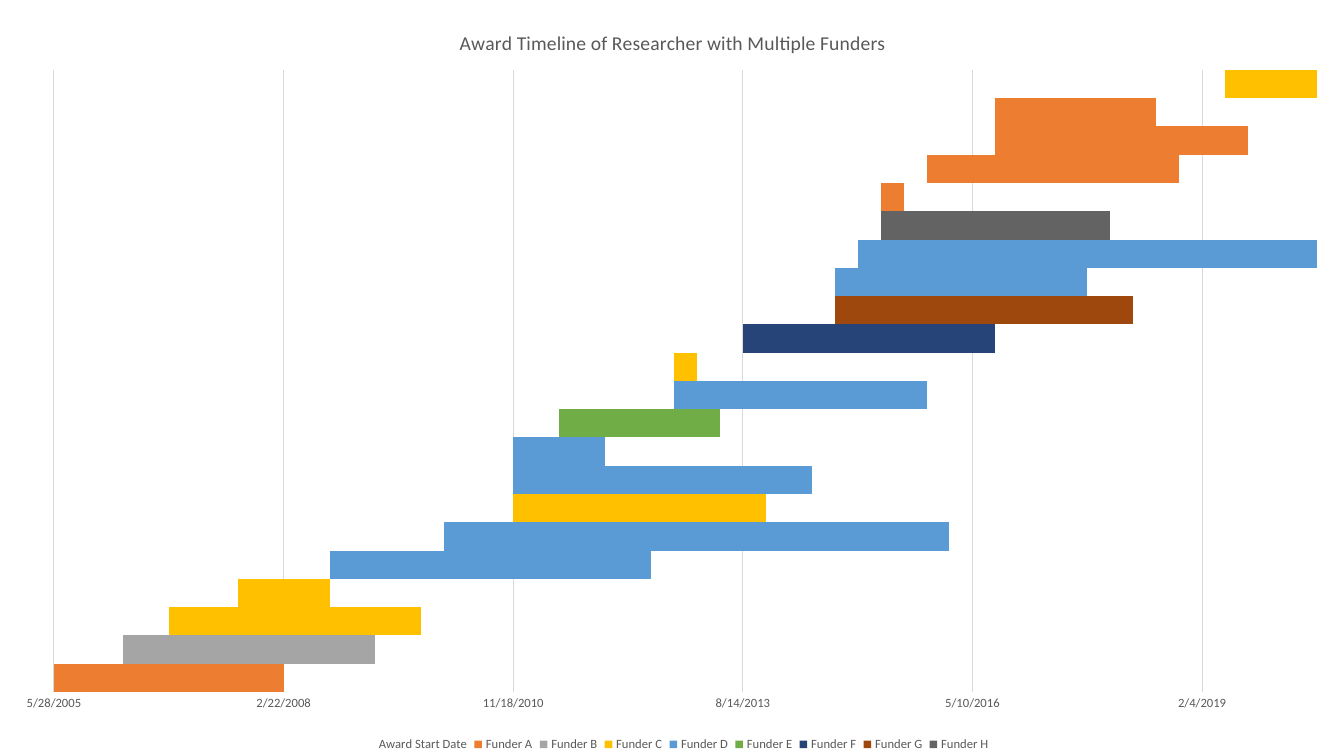
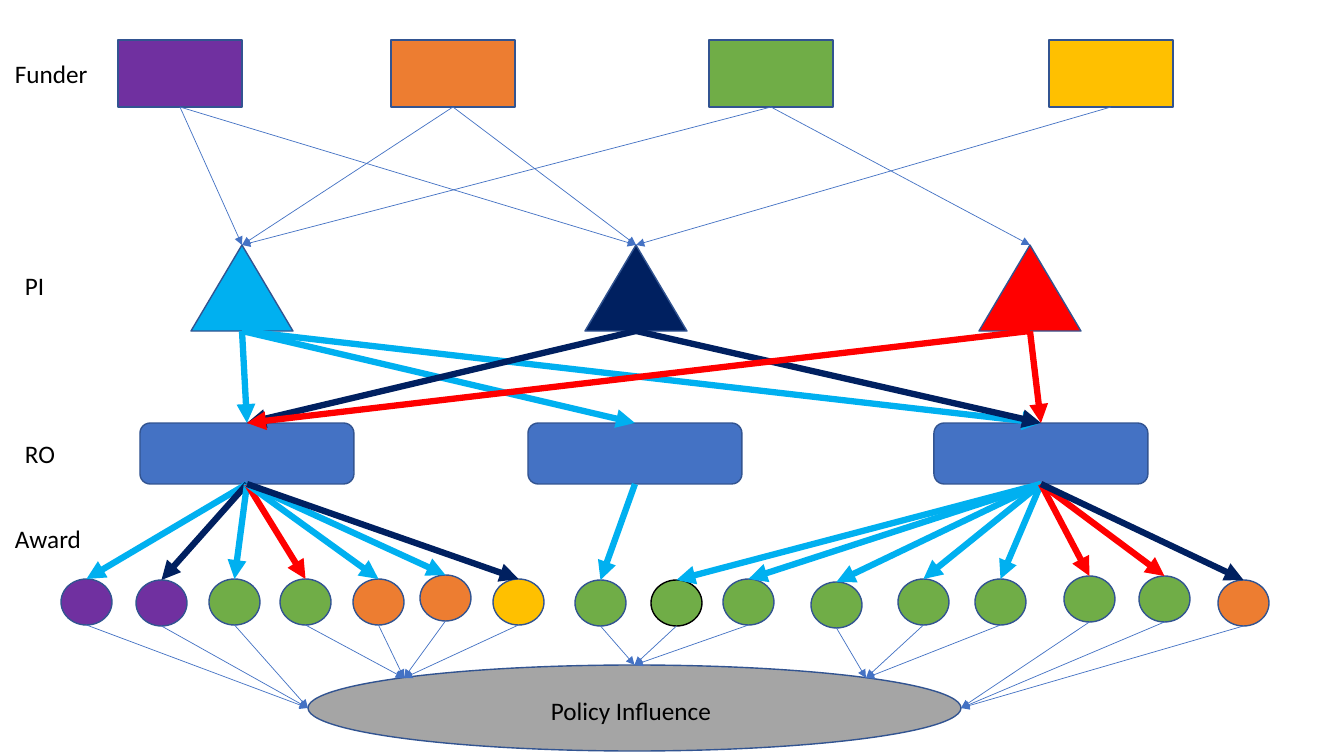
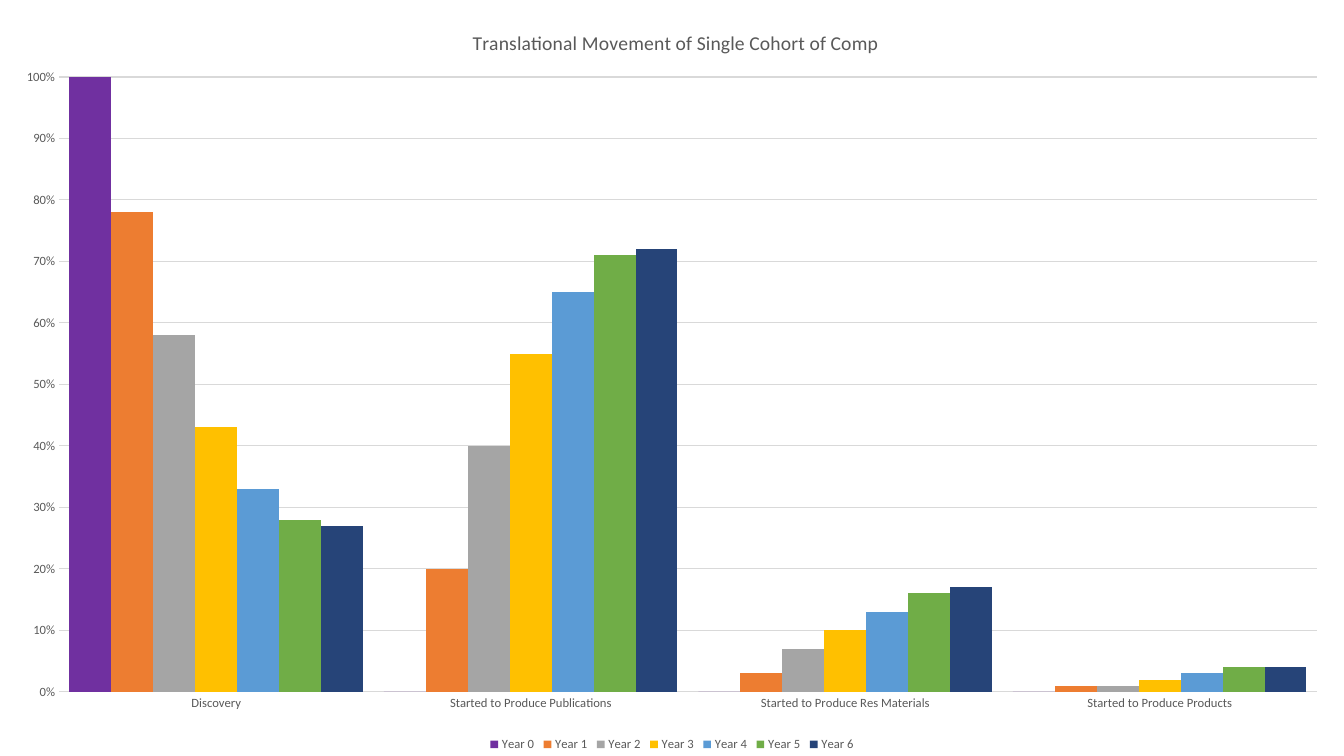
from dataclasses import dataclass

import pptx
import pptx.chart.data
import pptx.dml.color
import pptx.enum.chart
import pptx.enum.shapes
import pptx.oxml
import pptx.oxml.ns
import pptx.util
from lxml import etree

EMU_PER_PX = 914400 / 100.8
SLIDE_WIDTH, SLIDE_HEIGHT = 1344, 756
SHAPES = pptx.enum.shapes.MSO_SHAPE
CHARTS = pptx.enum.chart.XL_CHART_TYPE


@dataclass(frozen=True)
class Theme:
    font: str = "Calibri"
    black: str = "000000"
    muted: str = "595959"
    grid: str = "D9D9D9"
    outline: str = "325491"
    blue: str = "4472C4"
    orange: str = "ED7D31"
    gray: str = "A5A5A5"
    gold: str = "FFC000"
    light_blue: str = "5B9BD5"
    green: str = "70AD47"
    dark_blue: str = "264478"
    brown: str = "9E480E"
    dark_gray: str = "636363"
    purple: str = "7030A0"
    cyan: str = "00B0F0"
    navy: str = "002060"
    red: str = "FF0000"
    title_size: int = 14
    label_size: int = 18
    chart_size: int = 9
    thin: float = 0.5
    hairline: float = 0.75
    border: float = 1
    thick: float = 4.5


THEME = Theme()


def px(length):
    return pptx.util.Emu(round(length * EMU_PER_PX))


def rgb(color):
    return pptx.dml.color.RGBColor.from_string(color)


class Deck:
    def __init__(self, theme):
        self.theme = theme
        self.presentation = pptx.Presentation()
        self.presentation.slide_width = px(SLIDE_WIDTH)
        self.presentation.slide_height = px(SLIDE_HEIGHT)
        self.slide = None

    def new_slide(self):
        self.slide = self.presentation.slides.add_slide(self.presentation.slide_layouts[6])

    def style_font(self, font, size, color):
        font.name = self.theme.font
        font.size = pptx.util.Pt(size)
        font.bold = False
        font.color.rgb = rgb(color)

    def style_line(self, line, color, width):
        line.color.rgb = rgb(color)
        line.width = pptx.util.Pt(width)

    def shape(self, kind, box, fill, outline=None):
        shape = self.slide.shapes.add_shape(kind, *map(px, box))
        shape.shadow.inherit = False
        shape.fill.solid()
        shape.fill.fore_color.rgb = rgb(fill)
        self.style_line(shape.line, outline or self.theme.outline, self.theme.border)
        return shape

    def label(self, text, box):
        text_frame = self.slide.shapes.add_textbox(*map(px, box)).text_frame
        text_frame.word_wrap = True
        text_frame.text = text
        for run in text_frame.paragraphs[0].runs:
            self.style_font(run.font, self.theme.label_size, self.theme.black)

    def arrow(self, start, end=None, color=None, width=None, point=None):
        begin = (start.left + start.width // 2, start.top + start.height)
        finish = tuple(map(px, point)) if point else (end.left + end.width // 2, end.top)
        connector = self.slide.shapes.add_connector(
            pptx.enum.shapes.MSO_CONNECTOR.STRAIGHT, *begin, *finish)
        if start.auto_shape_type in (SHAPES.RECTANGLE, SHAPES.ROUNDED_RECTANGLE):
            connector.begin_connect(start, 2)
        if end is not None:
            connector.end_connect(end, 0)
        self.style_line(connector.line, color or self.theme.blue, width or self.theme.thin)
        properties = connector.element.spPr
        line = properties.find(pptx.oxml.ns.qn("a:ln"))
        etree.SubElement(line, pptx.oxml.ns.qn("a:tailEnd"), type="triangle")
        etree.SubElement(properties, pptx.oxml.ns.qn("a:effectLst"))

    def place(self, chart, part, box):
        parent = chart.element.xpath(f"c:chart/c:{part}")[0]
        for previous in parent.xpath("c:layout"):
            parent.remove(previous)
        layout = pptx.oxml.parse_xml(f"<c:layout {pptx.oxml.ns.nsdecls('c')}/>")
        manual = etree.SubElement(layout, pptx.oxml.ns.qn("c:manualLayout"))
        settings = [("xMode", "edge"), ("yMode", "edge")]
        if part == "plotArea":
            settings.insert(0, ("layoutTarget", "inner"))
        extents = (SLIDE_WIDTH, SLIDE_HEIGHT) * 2
        settings += [(name, f"{length / extent:.4f}")
                     for name, length, extent in zip("xywh", box, extents)]
        for name, value in settings:
            etree.SubElement(manual, pptx.oxml.ns.qn(f"c:{name}"), val=value)
        parent.insert(0 if part == "plotArea" else 1, layout)

    def chart(self, kind, title, categories, series, colors, gap, overlap,
              scale, number_format, boxes):
        data = pptx.chart.data.CategoryChartData()
        data.categories = categories
        for name, values in series:
            data.add_series(name, values)
        chart = self.slide.shapes.add_chart(
            kind, 0, 0, px(SLIDE_WIDTH), px(SLIDE_HEIGHT), data).chart
        self.style_font(chart.font, self.theme.chart_size, self.theme.muted)

        chart.has_title = True
        title_frame = chart.chart_title.text_frame
        title_frame.text = title
        for run in title_frame.paragraphs[0].runs:
            self.style_font(run.font, self.theme.title_size, self.theme.muted)

        chart.has_legend = True
        chart.legend.position = pptx.enum.chart.XL_LEGEND_POSITION.BOTTOM
        chart.legend.include_in_layout = False
        self.style_font(chart.legend.font, self.theme.chart_size, self.theme.muted)

        plot = chart.plots[0]
        plot.gap_width = gap
        plot.overlap = overlap
        plot.vary_by_categories = False
        for bars, color in zip(plot.series, colors):
            bars.invert_if_negative = False
            if color:
                bars.format.fill.solid()
                bars.format.fill.fore_color.rgb = rgb(color)
            else:
                bars.format.fill.background()

        for axis in (chart.category_axis, chart.value_axis):
            axis.major_tick_mark = pptx.enum.chart.XL_TICK_MARK.NONE
            axis.minor_tick_mark = pptx.enum.chart.XL_TICK_MARK.NONE
            self.style_font(axis.tick_labels.font, self.theme.chart_size, self.theme.muted)
        self.style_line(chart.category_axis.format.line, self.theme.grid, self.theme.hairline)

        values_axis = chart.value_axis
        values_axis.minimum_scale, values_axis.maximum_scale, values_axis.major_unit = scale
        values_axis.format.line.fill.background()
        values_axis.has_major_gridlines = True
        self.style_line(values_axis.major_gridlines.format.line,
                        self.theme.grid, self.theme.hairline)
        values_axis.tick_labels.number_format = number_format
        values_axis.tick_labels.number_format_is_linked = False

        for part, box in boxes.items():
            self.place(chart, part, box)
        return chart


def build_timeline(deck):
    theme = deck.theme
    awards = [
        (38400, "A", 1100), (38800, "B", 1100), (39000, "C", 1100), (39300, "C", 400),
        (39700, "D", 1400), (40200, "D", 2200), (40500, "C", 1100), (40500, "D", 1300),
        (40500, "D", 400), (40700, "E", 700), (41200, "D", 1100), (41200, "C", 100),
        (41500, "F", 1100), (41900, "G", 1300), (41900, "D", 1100), (42000, "D", 2200),
        (42100, "H", 1000), (42100, "A", 100), (42300, "A", 1100), (42600, "A", 1100),
        (42600, "A", 700), (43600, "C", 400),
    ]
    series = [("Award Start Date", [start for start, _, _ in awards])]
    for funder in "ABCDEFGH":
        series.append((f"Funder {funder}",
                       [days if owner == funder else 0 for _, owner, days in awards]))
    deck.new_slide()
    chart = deck.chart(
        CHARTS.BAR_STACKED, "Award Timeline of Researcher with Multiple Funders",
        [str(number) for number in range(1, len(awards) + 1)], series,
        [None, theme.orange, theme.gray, theme.gold, theme.light_blue, theme.green,
         theme.dark_blue, theme.brown, theme.dark_gray],
        0, 100, (38500, 44000, 1000), "m/d/yyyy",
        {"title": (456, 26), "plotArea": (54, 70, 1263, 622), "legend": (360, 733, 636, 23)})
    chart.category_axis.visible = False
    chart.chart_title.include_in_layout = True


def build_network(deck):
    theme = deck.theme
    deck.new_slide()
    funders = [deck.shape(SHAPES.RECTANGLE, (left, 40, 124, 67), fill) for left, fill in (
        (118, theme.purple), (391, theme.orange), (709, theme.green), (1049, theme.gold))]
    investigator_colors = (theme.cyan, theme.navy, theme.red)
    investigators = [
        deck.shape(SHAPES.ISOSCELES_TRIANGLE, (left, 245, 102, 86), fill)
        for left, fill in zip((191, 585, 979), investigator_colors)]
    organizations = [deck.shape(SHAPES.ROUNDED_RECTANGLE, (left, 423, 214, 61), theme.blue)
                     for left in (140, 528, 934)]

    left_end, upper_left, top, upper_right, right_end = (
        (308, 708), (404, 678), None, (866, 678), (961, 708))
    award_rows = [
        (61, 579, theme.purple, 0, 0, left_end),
        (136, 580, theme.purple, 0, 1, left_end),
        (209, 579, theme.green, 0, 0, left_end),
        (280, 579, theme.green, 0, 2, upper_left),
        (353, 579, theme.orange, 0, 0, upper_left),
        (420, 575, theme.orange, 0, 0, upper_left),
        (493, 579, theme.gold, 0, 1, upper_left),
        (575, 580, theme.green, 1, 0, top),
        (651, 580, theme.green, 2, 0, top),
        (723, 579, theme.green, 2, 0, top),
        (811, 582, theme.green, 2, 0, upper_right),
        (898, 579, theme.green, 2, 0, upper_right),
        (975, 579, theme.green, 2, 0, upper_right),
        (1064, 576, theme.green, 2, 2, right_end),
        (1139, 576, theme.green, 2, 2, right_end),
        (1218, 580, theme.orange, 2, 1, right_end),
    ]
    awards = [deck.shape(SHAPES.OVAL, (left, upper, 51, 46), fill)
              for left, upper, fill, _, _, _ in award_rows]
    awards[8].line.color.rgb = rgb(theme.black)

    for funder, investigator in ((0, 0), (0, 1), (1, 0), (1, 1), (2, 0), (2, 2), (3, 1)):
        deck.arrow(funders[funder], investigators[investigator])
    for investigator, organization in ((0, 0), (0, 1), (0, 2), (1, 0), (1, 2), (2, 2), (2, 0)):
        deck.arrow(investigators[investigator], organizations[organization],
                   investigator_colors[investigator], theme.thick)
    for award, (_, _, _, organization, investigator, _) in zip(awards, award_rows):
        deck.arrow(organizations[organization], award,
                   investigator_colors[investigator], theme.thick)

    policy = deck.shape(SHAPES.OVAL, (308, 665, 653, 86), theme.gray)
    for text, box in (("Funder", (5, 53, 100, 40)), ("PI", (15, 265, 48, 40)),
                      ("RO", (15, 433, 54, 40)), ("Award", (5, 518, 100, 40)),
                      ("Policy Influence", (541, 690, 187, 40))):
        deck.label(text, box)
    for award, (_, _, _, _, _, point) in zip(awards, award_rows):
        deck.arrow(award, None if point else policy, point=point)


def build_cohort(deck):
    theme = deck.theme
    yearly_shares = [
        (1, 0, 0, 0), (0.78, 0.2, 0.03, 0.01), (0.58, 0.4, 0.07, 0.01),
        (0.43, 0.55, 0.1, 0.02), (0.33, 0.65, 0.13, 0.03),
        (0.28, 0.71, 0.16, 0.04), (0.27, 0.72, 0.17, 0.04),
    ]
    deck.new_slide()
    deck.chart(
        CHARTS.COLUMN_CLUSTERED, "Translational Movement of Single Cohort of Comp",
        ["Discovery", "Started to Produce Publications",
         "Started to Produce Res Materials", "Started to Produce Products"],
        [(f"Year {year}", shares) for year, shares in enumerate(yearly_shares)],
        [theme.purple, theme.orange, theme.gray, theme.gold, theme.light_blue,
         theme.green, theme.dark_blue],
        50, 0, (0, 1, 0.1), "0%",
        {"title": (469, 26), "plotArea": (59, 77, 1258, 615), "legend": (485, 733, 374, 23)})


def main():
    deck = Deck(THEME)
    build_timeline(deck)
    build_network(deck)
    build_cohort(deck)
    deck.presentation.save("out.pptx")


if __name__ == "__main__":
    main()
